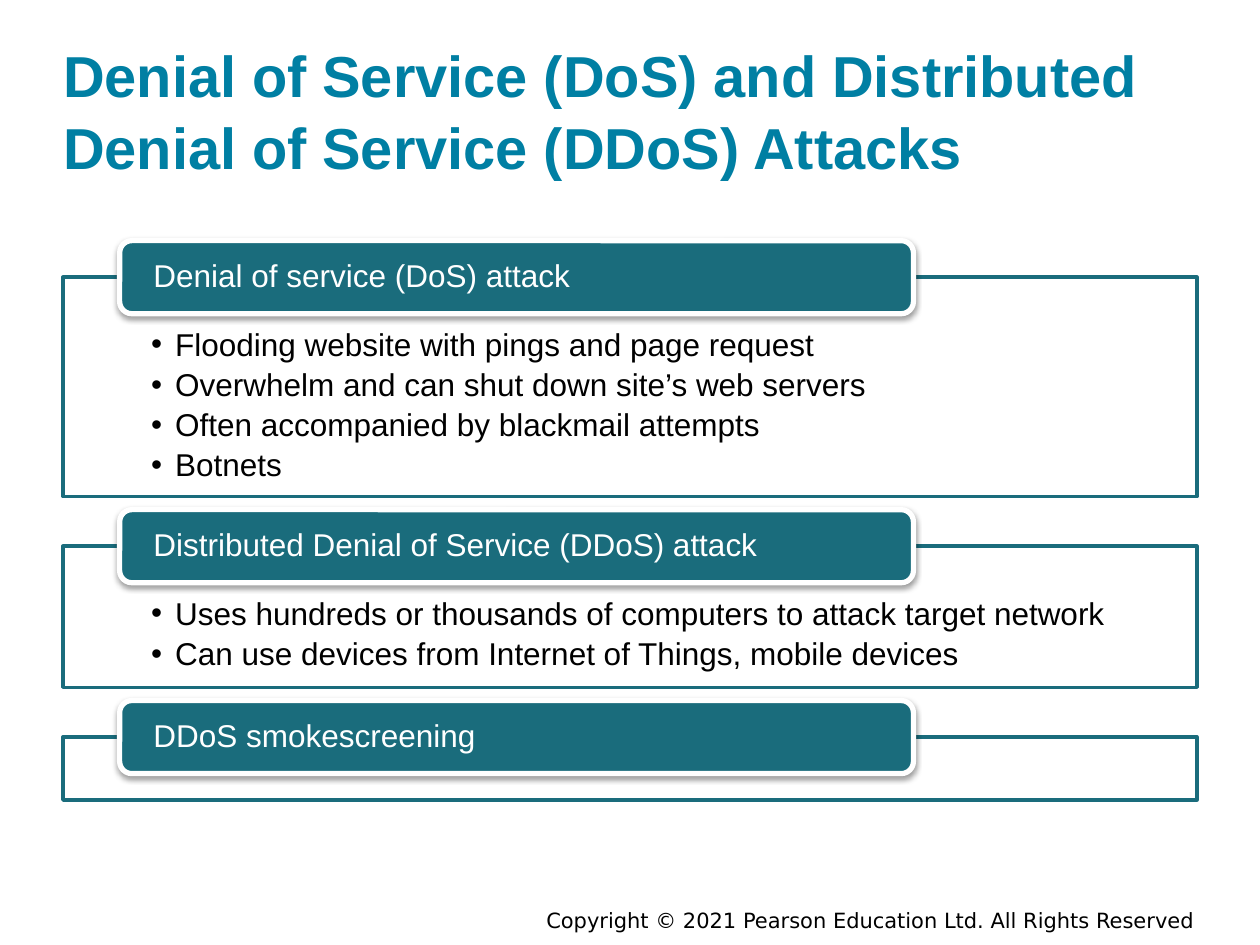
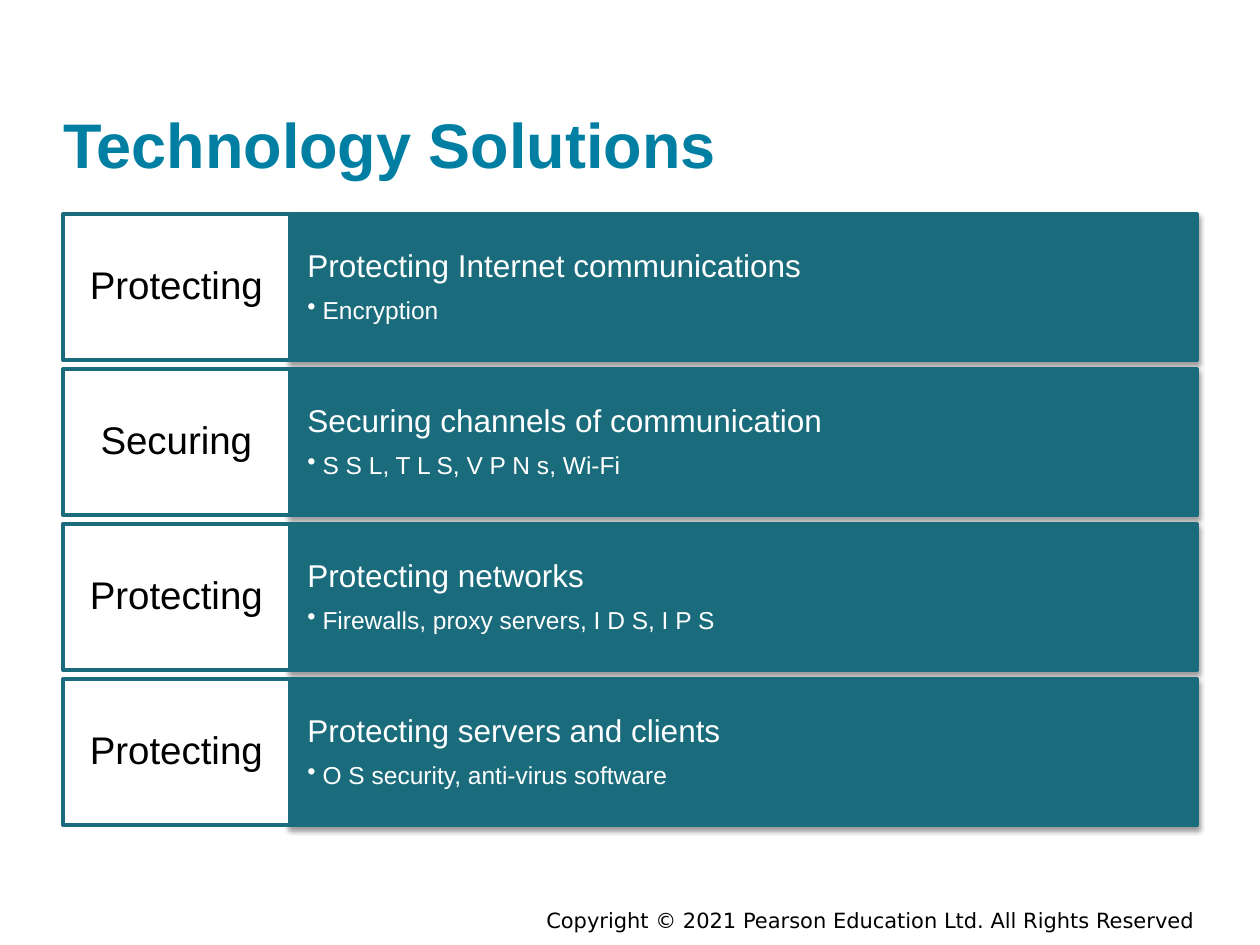
"""Build two slides on denial of service attacks and technology solutions."""
from dataclasses import dataclass

from lxml import etree
from pptx import Presentation
from pptx import util as u
from pptx.dml.color import RGBColor
from pptx.enum import shapes, text
from pptx.oxml.ns import qn

WIDTH, HEIGHT = u.Inches(10), u.Inches(7.5)
COLUMN, ROW = WIDTH / 100, HEIGHT / 75
TITLE_BLUE, TEAL, WHITE, BLACK = "007FA3", "1A6C7C", "FFFFFF", "000000"
FONT, FOOTER_FONT = "Arial", "DejaVu Sans"
FOOTER = "Copyright © 2021 Pearson Education Ltd. All Rights Reserved"
MARGIN, CONTENT_WIDTH = 5, 90
LEFT, CENTER, RIGHT = text.PP_ALIGN.LEFT, text.PP_ALIGN.CENTER, text.PP_ALIGN.RIGHT
TOP, MIDDLE, BOTTOM = text.MSO_ANCHOR.TOP, text.MSO_ANCHOR.MIDDLE, text.MSO_ANCHOR.BOTTOM


@dataclass(frozen=True)
class Frame:
    """A place on the grid, in columns and rows."""
    left: float
    top: float
    width: float
    height: float

    def lengths(self) -> tuple[int, ...]:
        """Give left, top, width and height as slide lengths."""
        return (round(self.left * COLUMN), round(self.top * ROW),
                round(self.width * COLUMN), round(self.height * ROW))


@dataclass(frozen=True)
class Line:
    """One paragraph and its look; hang is the bullet indent in columns."""
    words: str
    size: float
    color: str
    align: text.PP_ALIGN = LEFT
    after: float = 0
    hang: float = 0
    spacing: float = 0.9
    bold: bool = False
    font: str = FONT


@dataclass(frozen=True)
class Section:
    """A headed box of attack facts."""
    heading: str
    facts: tuple[str, ...]
    height: float


@dataclass(frozen=True)
class Solution:
    """A row with a label, a heading and one detail."""
    label: str
    heading: str
    detail: str


SECTIONS = (
    Section("Denial of service (DoS) attack", (
        "Flooding website with pings and page request",
        "Overwhelm and can shut down site’s web servers",
        "Often accompanied by blackmail attempts",
        "Botnets"), 17.4),
    Section("Distributed Denial of Service (DDoS) attack", (
        "Uses hundreds or thousands of computers to attack target network",
        "Can use devices from Internet of Things, mobile devices"), 11.2),
    Section("DDoS smokescreening", (), 5),
)
SOLUTIONS = (
    Solution("Protecting", "Protecting Internet communications", "Encryption"),
    Solution("Securing", "Securing channels of communication", "S S L, T L S, V P N s, Wi-Fi"),
    Solution("Protecting", "Protecting networks", "Firewalls, proxy servers, I D S, I P S"),
    Solution("Protecting", "Protecting servers and clients", "O S security, anti-virus software"),
)


def rgb(color: str) -> RGBColor:
    """Turn a hex string into a colour."""
    return RGBColor.from_string(color)


def place(shape, frame: Frame) -> None:
    """Move and size a shape."""
    shape.left, shape.top, shape.width, shape.height = frame.lengths()


def write(shape, lines: list[Line], anchor=TOP, side: float = 0, edge: float = 0) -> None:
    """Fill a shape with paragraphs inside the given insets."""
    frame = shape.text_frame
    frame.word_wrap = True
    frame.auto_size = text.MSO_AUTO_SIZE.NONE
    frame.vertical_anchor = anchor
    frame.margin_left = frame.margin_right = round(side * COLUMN)
    frame.margin_top = frame.margin_bottom = round(edge * ROW)
    for index, line in enumerate(lines):
        paragraph = frame.add_paragraph() if index else frame.paragraphs[0]
        paragraph.text = line.words
        if line.hang:
            properties = paragraph._p.get_or_add_pPr()
            indent = round(line.hang * COLUMN)
            properties.set("marL", str(indent))
            properties.set("indent", str(-indent))
            etree.SubElement(properties, qn("a:buChar")).set("char", "•")
        paragraph.alignment = line.align
        paragraph.line_spacing = line.spacing
        paragraph.space_before = u.Pt(0)
        paragraph.space_after = u.Pt(line.after)
        paragraph.font.name = line.font
        paragraph.font.size = u.Pt(line.size)
        paragraph.font.bold = line.bold
        paragraph.font.color.rgb = rgb(line.color)


def paint(shape, fill: str, outline: str, weight: float = 2, shadow: bool = False) -> None:
    """Set fill, outline and, if wanted, a soft shadow below."""
    shape.fill.solid()
    shape.fill.fore_color.rgb = rgb(fill)
    shape.line.color.rgb = rgb(outline)
    shape.line.width = u.Pt(weight)
    shape.shadow.inherit = False
    if shadow:
        effects = shape._element.spPr.find(qn("a:effectLst"))
        outer = etree.SubElement(effects, qn("a:outerShdw"), blurRad=str(u.Pt(3.1)),
                                 dist=str(u.Pt(1.6)), dir="5400000", rotWithShape="0")
        color = etree.SubElement(outer, qn("a:srgbClr"), val=BLACK)
        etree.SubElement(color, qn("a:alpha"), val="38000")


def add_box(slide, frame: Frame, kind=shapes.MSO_SHAPE.RECTANGLE):
    """Add a preset shape on the grid."""
    return slide.shapes.add_shape(kind, *frame.lengths())


def add_slide(presentation, layout: int, title: str, size: float):
    """Add a slide with the shared title style and footer."""
    slide = presentation.slides.add_slide(presentation.slide_layouts[layout])
    place(slide.shapes.title, Frame(MARGIN, 2.4, CONTENT_WIDTH, 12))
    write(slide.shapes.title, [Line(title, size, TITLE_BLUE, spacing=1.05, bold=True)], BOTTOM)
    footer = slide.shapes.add_textbox(*Frame(29.6, 71, 66.2, 4).lengths())
    write(footer, [Line(FOOTER, 12, BLACK, RIGHT, spacing=1, font=FOOTER_FONT)], MIDDLE, 1, 0.5)
    return slide


def add_attacks(presentation) -> None:
    """Stack the attack sections, each with a heading on its top edge."""
    slide = add_slide(presentation, 3, "Denial of Service (DoS) and Distributed "
                      "Denial of Service (DDoS) Attacks", 33)
    bodies = iter([slide.placeholders[1], slide.placeholders[2]])
    top, gap = 22, 3.95
    for section in SECTIONS:
        frame = Frame(MARGIN, top, CONTENT_WIDTH, section.height)
        box = next(bodies) if section.facts else add_box(slide, frame)
        place(box, frame)
        paint(box, WHITE, TEAL)
        if section.facts:
            facts = [Line(fact, 18, BLACK, after=3.5, hang=1.9) for fact in section.facts]
            write(box, facts, side=7, edge=4.1)
        heading = add_box(slide, Frame(9.5, top - 2.9, 63, 5.8),
                          shapes.MSO_SHAPE.ROUNDED_RECTANGLE)
        paint(heading, TEAL, WHITE, 3, shadow=True)
        write(heading, [Line(section.heading, 18, WHITE)], MIDDLE, 2.4)
        top += section.height + gap


def add_solutions(presentation) -> None:
    """Draw the solutions as equal rows of label and panel."""
    slide = add_slide(presentation, 5, "Technology Solutions", 36)
    first, pitch, height, label_width = 17, 12.3, 11.6, 18
    for index, solution in enumerate(SOLUTIONS):
        top = first + index * pitch
        panel = add_box(slide, Frame(MARGIN + label_width, top,
                                     CONTENT_WIDTH - label_width, height))
        paint(panel, TEAL, TEAL, shadow=True)
        write(panel, [Line(solution.heading, 18, WHITE, after=7.5),
                      Line(solution.detail, 14, WHITE, hang=1.2)], side=1.4, edge=2.9)
        label = add_box(slide, Frame(MARGIN, top, label_width, height))
        paint(label, WHITE, TEAL)
        write(label, [Line(solution.label, 22, BLACK, CENTER)], MIDDLE, 1, 1.1)


def main() -> None:
    """Build and save the presentation."""
    presentation = Presentation()
    presentation.slide_width, presentation.slide_height = WIDTH, HEIGHT
    add_attacks(presentation)
    add_solutions(presentation)
    presentation.save("out.pptx")


if __name__ == "__main__":
    main()
